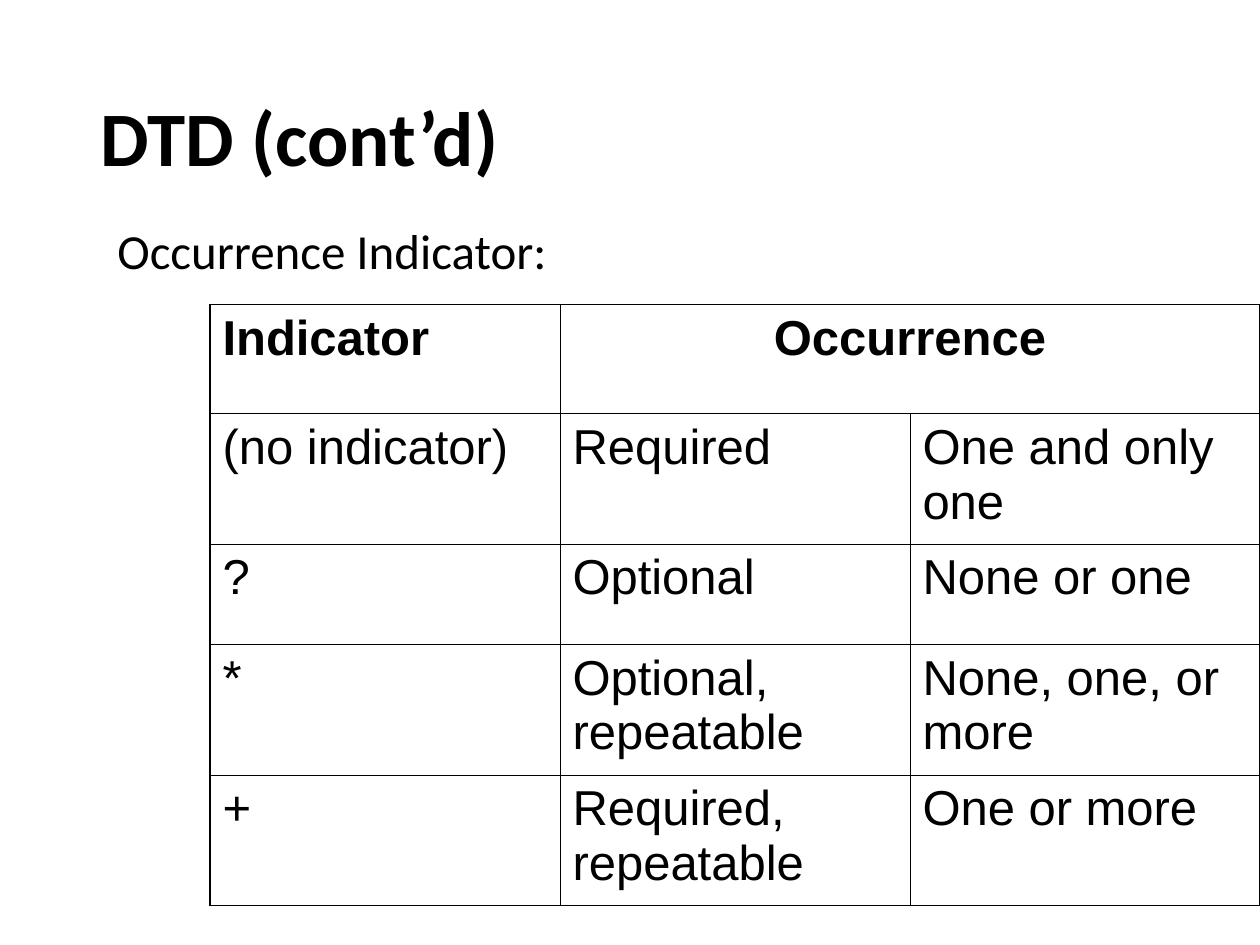
from dataclasses import dataclass

from lxml.etree import SubElement
from pptx import Presentation
from pptx.dml.color import RGBColor
from pptx.enum.text import MSO_ANCHOR, MSO_AUTO_SIZE, PP_ALIGN
from pptx.oxml.ns import qn
from pptx.util import Pt


@dataclass(frozen=True)
class Theme:
    ink: str = "000000"
    text_font: str = "Calibri"
    table_font: str = "Arial"
    title_size: float = 44
    body_size: float = 28
    outer_line: float = 1.08
    inner_line: float = 0.45


class SlideBuilder:
    def __init__(self, prs, theme):
        self.theme = theme
        self.slide = prs.slides.add_slide(prs.slide_layouts[5])  # title only

    def format(self, p, font, size, bold=False, align=PP_ALIGN.LEFT, before=0):
        p.alignment = align
        p.space_before = Pt(before)
        p.font.name = font
        p.font.size = Pt(size)
        p.font.bold = bold
        p.font.color.rgb = RGBColor.from_string(self.theme.ink)

    def place(self, sp, left, top, width, height):
        sp.left, sp.top, sp.width, sp.height = map(Pt, (left, top, width, height))

    def title(self, text, *box):
        sp = self.slide.shapes.title
        self.place(sp, *box)
        tf = sp.text_frame
        tf.text = text
        tf.auto_size = MSO_AUTO_SIZE.NONE
        tf.vertical_anchor = MSO_ANCHOR.MIDDLE
        p = tf.paragraphs[0]
        self.format(p, self.theme.text_font, self.theme.title_size, bold=True)
        p.line_spacing = 0.9

    def text(self, text, *box):
        tf = self.slide.shapes.add_textbox(*map(Pt, box)).text_frame
        tf.word_wrap = True
        tf.text = text
        p = tf.paragraphs[0]
        self.format(p, self.theme.text_font, self.theme.body_size, before=10)
        p.line_spacing = 0.9

    def borders(self, cell, outer_sides):
        tcPr = cell._tc.get_or_add_tcPr()
        for side in "LRTB":
            width = self.theme.outer_line if side in outer_sides else self.theme.inner_line
            ln = SubElement(tcPr, qn(f"a:ln{side}"), w=str(Pt(width)))
            fill = SubElement(ln, qn("a:solidFill"))
            SubElement(fill, qn("a:srgbClr"), val=self.theme.ink)

    def table(self, rows, left, top, col_width, row_heights):
        n_rows, n_cols = len(rows), len(rows[0])
        frame = self.slide.shapes.add_table(
            n_rows, n_cols, Pt(left), Pt(top), Pt(col_width * n_cols), Pt(sum(row_heights)))
        table = frame.table
        table.first_row = table.horz_banding = False
        for column in table.columns:
            column.width = Pt(col_width)
        for row, height in zip(table.rows, row_heights):
            row.height = Pt(height)
        table.cell(0, 1).merge(table.cell(0, 2))  # header over both meanings

        for i, values in enumerate(rows):
            for j, value in enumerate(values):
                cell = table.cell(i, j)
                last_col = j + (cell.span_width if cell.is_merge_origin else 1) == n_cols
                edges = {"L": j == 0, "R": last_col, "T": i == 0, "B": i == n_rows - 1}
                self.borders(cell, [side for side, outer in edges.items() if outer])
                cell.fill.background()
                if cell.is_spanned:
                    continue
                cell.text = value
                align = PP_ALIGN.CENTER if cell.is_merge_origin else PP_ALIGN.LEFT
                self.format(cell.text_frame.paragraphs[0], self.theme.table_font,
                            self.theme.body_size, bold=i == 0, align=align, before=7)


INDICATORS = [
    ("Indicator", "Occurrence", ""),
    ("(no indicator)", "Required", "One and only one"),
    ("?", "Optional", "None or one"),
    ("*", "Optional, repeatable", "None, one, or more"),
    ("+", "Required, repeatable", "One or more"),
]


def main():
    prs = Presentation()
    prs.slide_width, prs.slide_height = Pt(720), Pt(540)
    s = SlideBuilder(prs, Theme())

    # Heading and lead-in
    s.title("DTD (cont’d)", 50, 29, 621, 104)
    s.text("Occurrence Indicator:", 60, 126, 612, 324)

    # Indicator table
    s.table(INDICATORS, 120, 174, 200, [62.5, 74.5, 57.5, 74.5, 74.5])

    prs.save("out.pptx")


if __name__ == "__main__":
    main()
